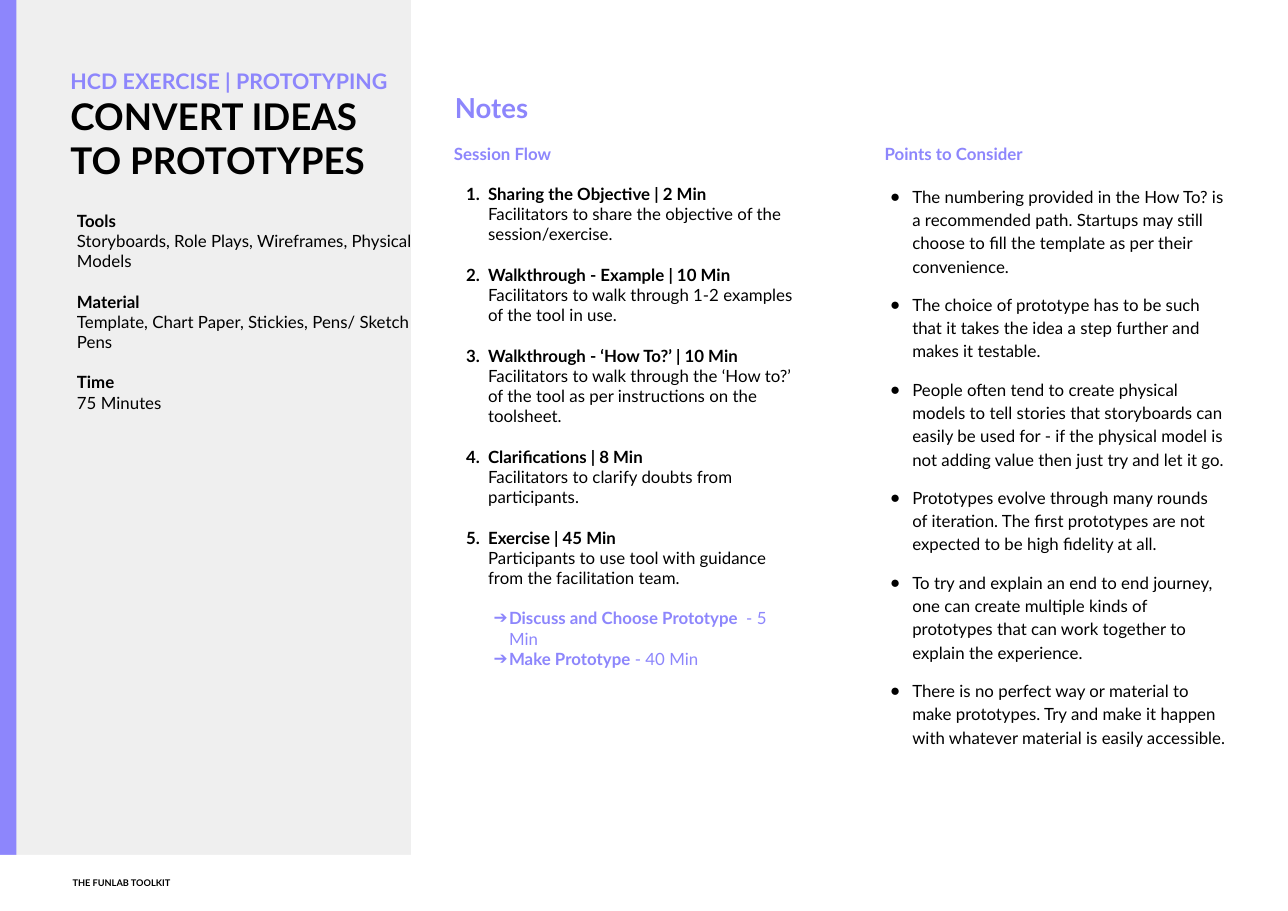
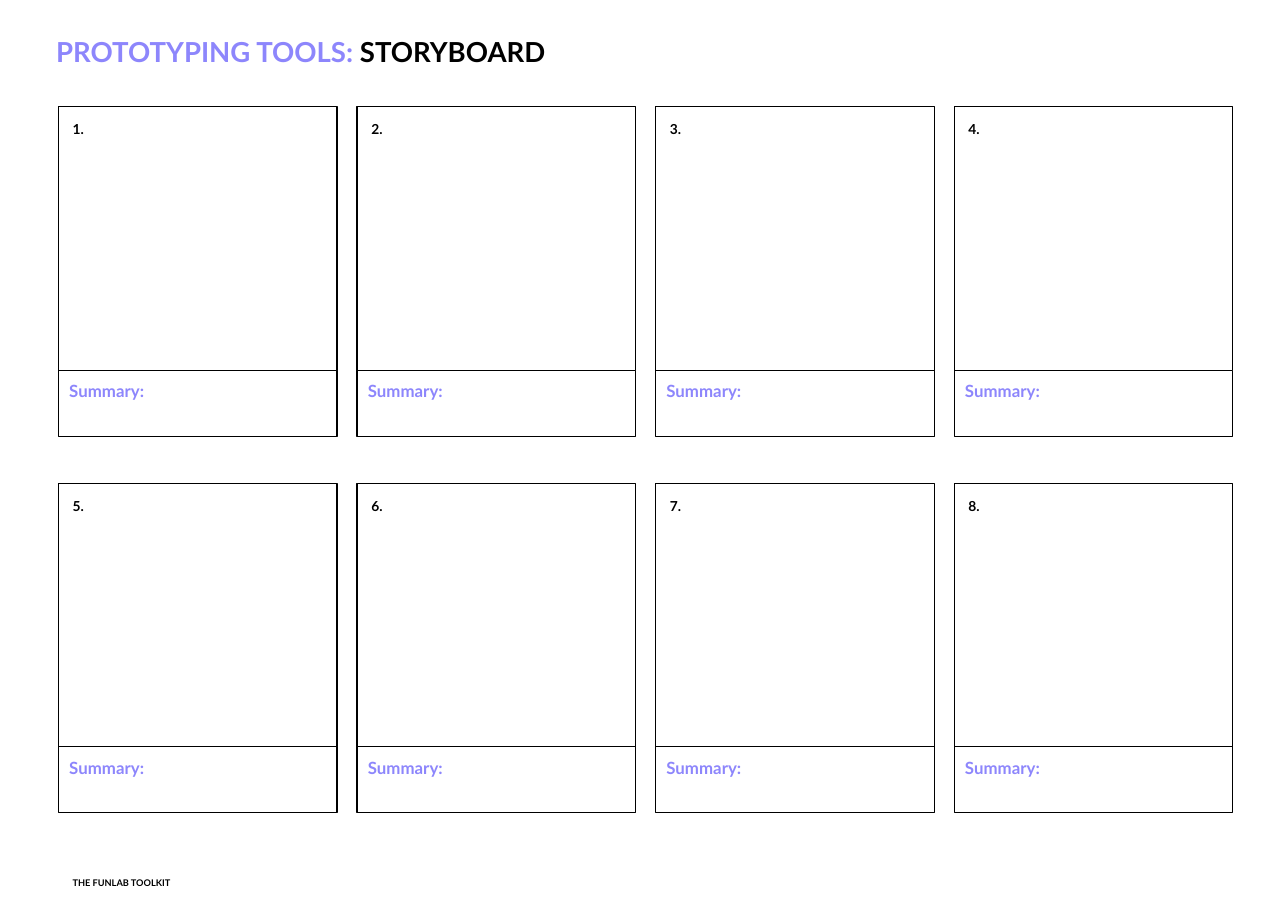
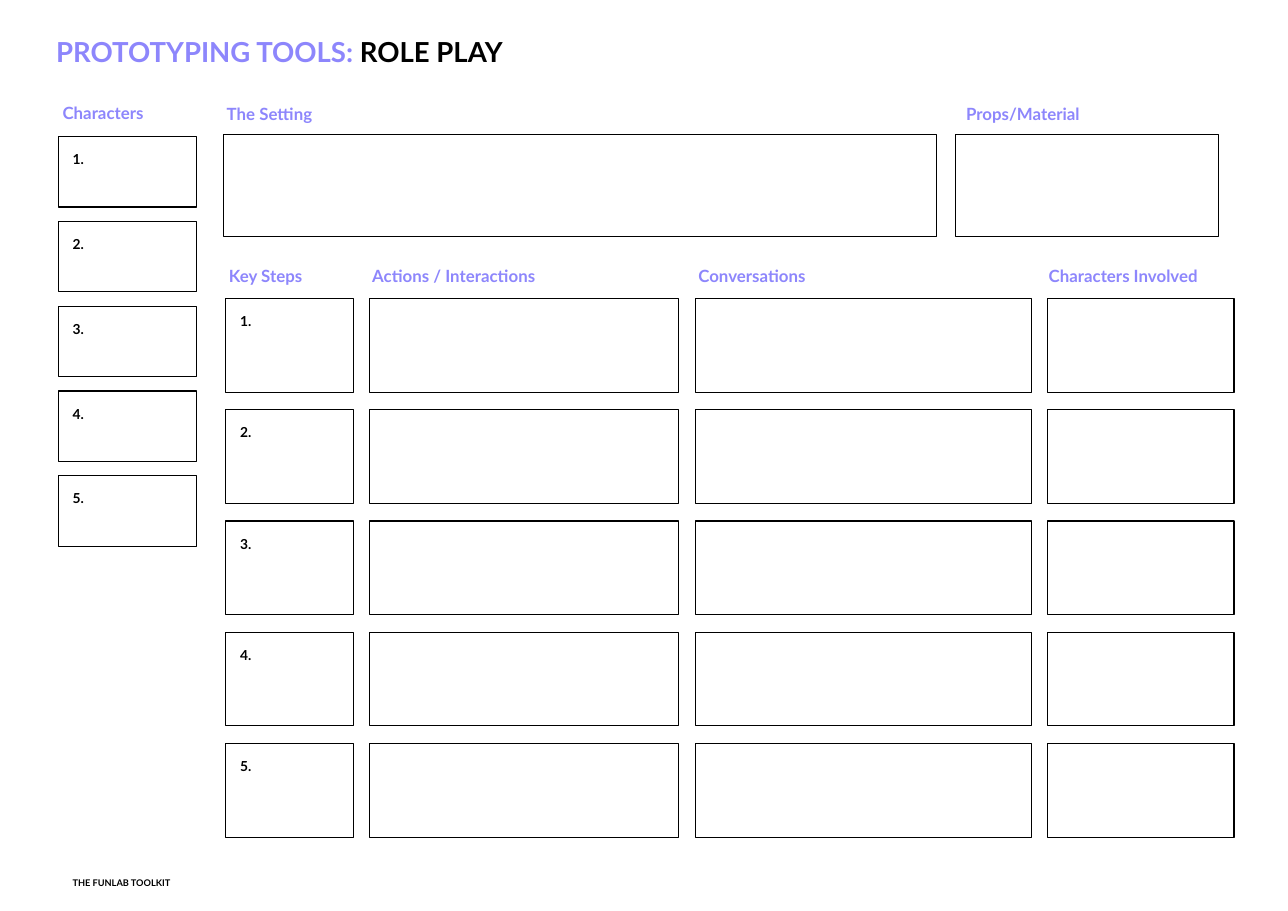
"""Build the prototyping exercise pages: session notes, storyboard and role play."""

import dataclasses
import itertools
from typing import Optional

import lxml.etree
import pptx
import pptx.dml.color
import pptx.enum.shapes
import pptx.enum.text
import pptx.oxml.ns
import pptx.presentation
import pptx.shapes.autoshape
import pptx.shapes.base
import pptx.slide
import pptx.text.text
import pptx.util

Inches = pptx.util.Inches
ANCHOR = pptx.enum.text.MSO_ANCHOR

FONT = "Lato"
VIOLET = "8D86FC"
BLACK = "000000"
WHITE = "FFFFFF"
GREY = "EFEFEF"
WIDTH, HEIGHT = 11.69, 8.27
BAND_TOP = 7.76
BLANK_LINE = 13.2
INSET = 0.1
WIDE_INSET = 0.13
TITLE_ONLY, TWO_CONTENT = 5, 3


@dataclasses.dataclass(frozen=True)
class Area:
    """A rectangle in inches."""

    left: float
    top: float
    width: float
    height: float


@dataclasses.dataclass(frozen=True)
class Entry:
    """A bold heading with the text that belongs to it."""

    heading: str
    text: str


@dataclasses.dataclass(frozen=True)
class Column:
    """A labelled column of step frames."""

    label: str
    label_left: float
    left: float
    width: float
    numbered: bool = False


TOOL_FACTS = (
    Entry("Tools", "Storyboards, Role Plays, Wireframes, Physical Models"),
    Entry("Material", "Template, Chart Paper, Stickies, Pens/ Sketch Pens"),
    Entry("Time", "75 Minutes"),
)
SESSION_STEPS = (
    Entry("Sharing the Objective | 2 Min",
          "Facilitators to share the objective of the session/exercise."),
    Entry("Walkthrough - Example | 10 Min",
          "Facilitators to walk through 1-2 examples of the tool in use."),
    Entry("Walkthrough - ‘How To?’ | 10 Min",
          "Facilitators to walk through the ‘How to?’ of the tool as per "
          "instructions on the toolsheet."),
    Entry("Clarifications | 8 Min",
          "Facilitators to clarify doubts from participants."),
    Entry("Exercise | 45 Min",
          "Participants to use tool with guidance from the facilitation team."),
)
EXERCISE_PARTS = (
    Entry("Discuss and Choose Prototype  ", "- 5 Min"),
    Entry("Make Prototype", " - 40 Min"),
)
POINTS = (
    "The numbering provided in the How To? is a recommended path. Startups may "
    "still choose to fill the template as per their convenience.",
    "The choice of prototype has to be such that it takes the idea a step "
    "further and makes it testable.",
    "People often tend to create physical models to tell stories that "
    "storyboards can easily be used for - if the physical model is not adding "
    "value then just try and let it go.",
    "Prototypes evolve through many rounds of iteration. The first prototypes "
    "are not expected to be high fidelity at all.",
    "To try and explain an end to end journey, one can create multiple kinds "
    "of prototypes that can work together to explain the experience.",
    "There is no perfect way or material to make prototypes. Try and make it "
    "happen with whatever material is easily accessible.",
)
STEP_COLUMNS = (
    Column("Key Steps", 1.98, 2.05, 1.16, numbered=True),
    Column("Actions / Interactions", 3.28, 3.35, 2.81),
    Column("Conversations", 6.24, 6.31, 3.05),
    Column("Characters Involved", 9.42, 9.51, 1.69),
)


def rgb(value: str) -> pptx.dml.color.RGBColor:
    """Turn a hex string into a colour."""
    return pptx.dml.color.RGBColor.from_string(value)


def add_span(para: pptx.text.text._Paragraph, text: str, *, size: float = 11,
             color: str = BLACK, bold: bool = False) -> None:
    """Add formatted text to a paragraph."""
    span = para.add_run()
    span.text = text
    span.font.name = FONT
    span.font.size = pptx.util.Pt(size)
    span.font.bold = bold
    span.font.color.rgb = rgb(color)


def add_para(box: pptx.shapes.autoshape.Shape, *, before: float = 0,
             spacing: float = 1.0, left: float = 0, hanging: float = 0,
             bullet: str = "", number: int = 0,
             bullet_color: str = BLACK) -> pptx.text.text._Paragraph:
    """Open the next paragraph of a box, optionally as a list item."""
    frame = box.text_frame
    para = frame.paragraphs[-1]
    if para.runs:
        para = frame.add_paragraph()
    para.alignment = pptx.enum.text.PP_ALIGN.LEFT
    para.space_before = pptx.util.Pt(before)
    para.line_spacing = spacing
    properties = para._p.get_or_add_pPr()
    properties.set("marL", str(int(Inches(left))))
    properties.set("indent", str(-int(Inches(hanging))))

    def add_mark(parent: lxml.etree._Element, tag: str,
                 **attributes: str) -> lxml.etree._Element:
        """Append a list element."""
        return lxml.etree.SubElement(parent, pptx.oxml.ns.qn(tag), attributes)

    if bullet or number:
        add_mark(add_mark(properties, "a:buClr"), "a:srgbClr", val=bullet_color)
    if number:
        add_mark(properties, "a:buAutoNum", type="arabicPeriod", startAt=str(number))
    elif bullet:
        add_mark(properties, "a:buChar", char=bullet)
    else:
        add_mark(properties, "a:buNone")
    return para


def place(shape: pptx.shapes.base.BaseShape, area: Area) -> None:
    """Move a shape to its area."""
    shape.left, shape.top = Inches(area.left), Inches(area.top)
    shape.width, shape.height = Inches(area.width), Inches(area.height)


def set_frame(box: pptx.shapes.autoshape.Shape, *, inset: float = INSET,
              anchor: ANCHOR = ANCHOR.TOP) -> None:
    """Set wrapping, insets and anchoring of the text in a box."""
    frame = box.text_frame
    frame.word_wrap = True
    frame.auto_size = pptx.enum.text.MSO_AUTO_SIZE.NONE
    frame.vertical_anchor = anchor
    frame.margin_left = frame.margin_right = Inches(inset)
    frame.margin_top = frame.margin_bottom = Inches(inset)


def add_box(page: pptx.slide.Slide, area: Area, *, inset: float = INSET,
            anchor: ANCHOR = ANCHOR.TOP) -> pptx.shapes.autoshape.Shape:
    """Add an empty text box."""
    box = page.shapes.add_textbox(0, 0, 0, 0)
    place(box, area)
    set_frame(box, inset=inset, anchor=anchor)
    return box


def add_label(page: pptx.slide.Slide, text: str, left: float, top: float) -> None:
    """Add a violet heading over a frame."""
    box = add_box(page, Area(left, top, 2.2, 0.4))
    add_span(add_para(box), text, color=VIOLET, bold=True)


def add_rectangle(page: pptx.slide.Slide, area: Area, *, fill: Optional[str] = None,
                  line: Optional[str] = None) -> pptx.shapes.autoshape.Shape:
    """Add a plain rectangle."""
    shape = page.shapes.add_shape(
        pptx.enum.shapes.MSO_SHAPE.RECTANGLE, 0, 0, 0, 0)
    place(shape, area)
    shape.shadow.inherit = False
    if fill:
        shape.fill.solid()
        shape.fill.fore_color.rgb = rgb(fill)
    else:
        shape.fill.background()
    if line:
        shape.line.color.rgb = rgb(line)
        shape.line.width = pptx.util.Pt(0.75)
    else:
        shape.line.fill.background()
    return shape


def add_frame(page: pptx.slide.Slide, area: Area, text: str = "", *,
              fill: Optional[str] = None, inset: float = WIDE_INSET,
              size: float = 9, color: str = BLACK) -> None:
    """Add an outlined frame to write in, with an optional caption."""
    shape = add_rectangle(page, area, fill=fill, line=BLACK)
    if text:
        set_frame(shape, inset=inset)
        add_span(add_para(shape), text, size=size, color=color, bold=True)


def add_footer(page: pptx.slide.Slide) -> None:
    """Add the white band and the toolkit name."""
    add_rectangle(page, Area(0, BAND_TOP, WIDTH, HEIGHT - BAND_TOP), fill=WHITE)
    box = add_box(page, Area(0.56, 7.87, 4.61, 0.29), anchor=ANCHOR.BOTTOM)
    add_span(add_para(box), "THE FUNLAB TOOLKIT", size=6, bold=True)


def add_page(deck: pptx.presentation.Presentation, layout: int,
             title_area: Area) -> pptx.slide.Slide:
    """Add a page with its title placeholder in place."""
    page = deck.slides.add_slide(deck.slide_layouts[layout])
    place(page.shapes.title, title_area)
    set_frame(page.shapes.title, inset=WIDE_INSET, anchor=ANCHOR.BOTTOM)
    return page


def add_tool_page(deck: pptx.presentation.Presentation, tool: str) -> pptx.slide.Slide:
    """Add a worksheet page titled with its tool."""
    page = add_page(deck, TITLE_ONLY, Area(0.38, 0.32, 9.29, 0.43))
    para = add_para(page.shapes.title)
    add_span(para, "PROTOTYPING TOOLS:", size=18, color=VIOLET, bold=True)
    add_span(para, f" {tool}", size=18, bold=True)
    return page


def open_list(page: pptx.slide.Slide, index: int, area: Area,
              heading: str) -> pptx.shapes.autoshape.Shape:
    """Prepare a body placeholder and write its heading."""
    body = page.placeholders[index]
    place(body, area)
    set_frame(body, inset=WIDE_INSET)
    add_span(add_para(body), heading, color=VIOLET, bold=True)
    return body


def build_notes(deck: pptx.presentation.Presentation) -> None:
    """Build the notes page."""
    page = add_page(deck, TWO_CONTENT, Area(0.51, 0.57, 3.21, 1.21))
    title = page.shapes.title
    add_span(add_para(title), "HCD EXERCISE | PROTOTYPING",
             size=14, color=VIOLET, bold=True)
    add_span(add_para(title), "CONVERT IDEAS TO PROTOTYPES", size=24, bold=True)

    panel = add_rectangle(page, Area(0, 0, 3.73, HEIGHT), fill=GREY)
    page.shapes._spTree.insert(2, panel._element)
    add_rectangle(page, Area(0, 0, 0.15, HEIGHT), fill=VIOLET)

    notes = add_box(page, Area(4.03, 0.63, 3.28, 0.69), anchor=ANCHOR.MIDDLE)
    add_span(add_para(notes), "Notes", size=18, color=VIOLET, bold=True)

    facts = add_box(page, Area(0.6, 1.81, 3.28, 2.14))
    for index, fact in enumerate(TOOL_FACTS):
        add_span(add_para(facts, before=BLANK_LINE if index else 0),
                 fact.heading, bold=True)
        add_span(add_para(facts), fact.text)

    flow = open_list(page, 1, Area(3.99, 1.17, 3.36, 4.73), "Session Flow")
    for number, step in enumerate(SESSION_STEPS, start=1):
        para = add_para(flow, before=BLANK_LINE, left=0.31, hanging=0.2, number=number)
        add_span(para, step.heading, bold=True)
        add_span(add_para(flow, left=0.31), step.text)
    for index, part in enumerate(EXERCISE_PARTS):
        para = add_para(flow, before=0 if index else BLANK_LINE, left=0.5,
                        hanging=0.14, bullet="➔", bullet_color=VIOLET)
        add_span(para, part.heading, color=VIOLET, bold=True)
        add_span(para, part.text, color=VIOLET)

    points = open_list(page, 2, Area(7.9, 1.17, 3.36, 6.37), "Points to Consider")
    for index, point in enumerate(POINTS):
        para = add_para(points, before=10 if index else BLANK_LINE, spacing=1.15,
                        left=0.25, hanging=0.2, bullet="●")
        add_span(para, point)
    add_footer(page)


def build_storyboard(deck: pptx.presentation.Presentation) -> None:
    """Build the storyboard page with two rows of four scenes."""
    page = add_tool_page(deck, "STORYBOARD")
    scenes = itertools.product(range(2), range(4))
    for number, (row, column) in enumerate(scenes, start=1):
        left, top = 0.53 + column * 2.71, 0.97 + row * 3.42
        add_frame(page, Area(left, top, 2.53, 2.39), f"{number}.", fill=WHITE)
        add_frame(page, Area(left, top + 2.39, 2.53, 0.6), "Summary:",
                  fill=WHITE, inset=INSET, size=11, color=VIOLET)
    add_footer(page)


def build_role_play(deck: pptx.presentation.Presentation) -> None:
    """Build the role play page."""
    page = add_tool_page(deck, "ROLE PLAY")
    add_label(page, "Characters", 0.47, 0.83)
    add_label(page, "The Setting", 1.96, 0.84)
    add_label(page, "Props/Material", 8.67, 0.84)
    add_frame(page, Area(2.03, 1.22, 6.47, 0.93))
    add_frame(page, Area(8.67, 1.22, 2.39, 0.93))
    for row in range(5):
        add_frame(page, Area(0.53, 1.24 + row * 0.77, 1.25, 0.64),
                  f"{row + 1}.", fill=WHITE)
    for column in STEP_COLUMNS:
        add_label(page, column.label, column.label_left, 2.31)
        for row in range(5):
            add_frame(page, Area(column.left, 2.71 + row * 1.01, column.width, 0.85),
                      f"{row + 1}." if column.numbered else "")
    add_footer(page)


def main() -> None:
    """Build and save the deck."""
    deck = pptx.Presentation()
    deck.slide_width, deck.slide_height = Inches(WIDTH), Inches(HEIGHT)
    build_notes(deck)
    build_storyboard(deck)
    build_role_play(deck)
    deck.save("out.pptx")


if __name__ == "__main__":
    main()
